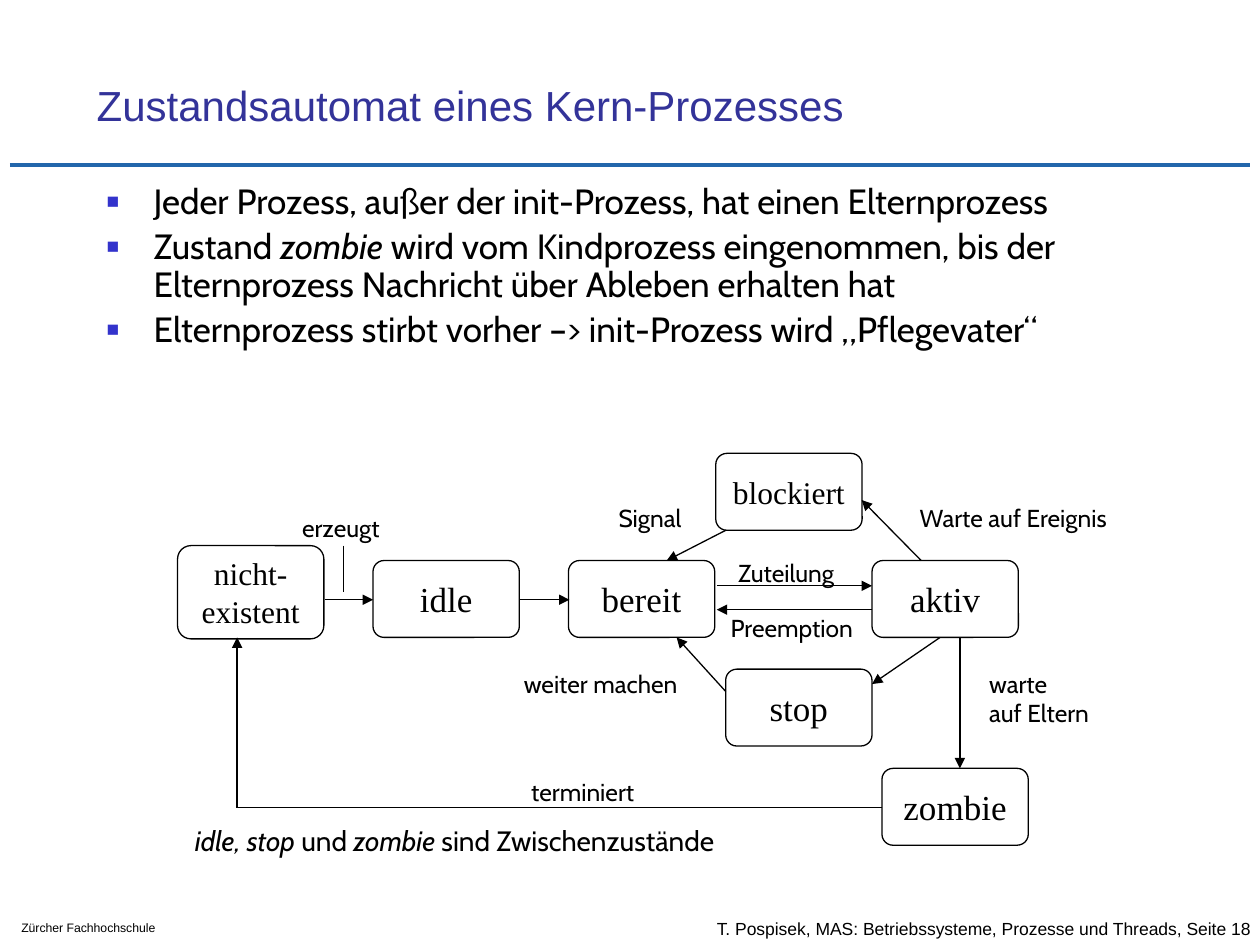
from lxml.etree import SubElement
from pptx import Presentation
from pptx.dml.color import RGBColor
from pptx.enum.shapes import MSO_CONNECTOR, MSO_SHAPE
from pptx.enum.text import MSO_ANCHOR, PP_ALIGN
from pptx.oxml.ns import qn
from pptx.util import Cm, Pt

COLORS = {"ink": "000000", "paper": "FFFFFF", "title": "333399",
          "bullet": "3333CC", "rule": "2266AB"}
BOX_W, BOX_H = 2.95, 1.55
ROW = 11.3            # top of the middle row of states
FLOOR = ROW + BOX_H   # bottom of the middle row
MID = 12.09           # height of the arrows in the middle row

# text, left, top, height, size
STATES = [
    (["nicht-", "existent"], 3.58, 11, 1.88, 18),
    (["idle"], 7.52, ROW, BOX_H, 20),
    (["bereit"], 11.46, ROW, BOX_H, 20),
    (["aktiv"], 17.58, ROW, BOX_H, 20),
    (["blockiert"], 14.43, 9.14, BOX_H, 18),
    (["stop"], 14.63, 13.49, BOX_H, 20),
    (["zombie"], 17.78, 15.49, BOX_H, 20),
]
ARROWS = [
    (6.55, MID, 7.52, MID),
    (10.49, MID, 11.48, MID),
    (4.78, 16.28, 4.78, FLOOR),
    (14.63, 13.94, 13.64, FLOOR),
    (18.95, FLOOR, 17.58, 13.79),
    (14.63, 10.69, 13.44, ROW),
    (18.57, ROW, 17.37, 10.08),
    (19.35, FLOOR, 19.35, 15.49),
    (17.58, 12.29, 14.45, 12.29),
    (14.45, 11.81, 17.58, 11.81),
]
LINES = [(17.78, 16.28, 4.78, 16.28), (6.93, 11, 6.93, 11.94)]
# text, left, top, width
LABELS = [
    (["Warte auf Ereignis"], 18.29, 10.01, 4.75),
    (["warte", "auf Eltern"], 19.69, 13.36, 2.77),
    (["Zuteilung"], 14.63, 11.13, 2.72),
    (["Signal"], 12.22, 10.01, 1.93),
    (["erzeugt"], 5.84, 10.21, 2.29),
    (["weiter machen"], 10.31, 13.36, 3.96),
    (["terminiert"], 10.46, 15.54, 2.84),
    (["Preemption"], 14.48, 12.24, 3.23),
]
# Each paragraph is a list of runs; every second run is italic.
POINTS = [
    ["Jeder Prozess, außer der init-Prozess, hat einen Elternprozess"],
    ["Zustand ", "zombie", " wird vom Kindprozess eingenommen, bis der "
     "Elternprozess Nachricht über Ableben erhalten hat"],
    ["Elternprozess stirbt vorher –> init-Prozess wird „Pflegevater“"],
]
NOTE = ["", "idle, stop", " und ", "zombie", " sind Zwischenzustände"]


def color(name):
    return RGBColor.from_string(COLORS[name])


def write(frame, paras, size, font, ink="ink"):
    """Fill a text frame; paras are lists of runs, every second one italic."""
    for i, runs in enumerate(paras):
        para = frame.add_paragraph() if i else frame.paragraphs[0]
        for j, text in enumerate(runs):
            if not text:
                continue
            run = para.add_run()
            run.text = text
            run.font.size = Pt(size)
            run.font.name = font
            run.font.color.rgb = color(ink)
            if j % 2:
                run.font.italic = True


def add_text(slide, paras, area, size, font, ink="ink", anchor=MSO_ANCHOR.TOP):
    frame = slide.shapes.add_textbox(*map(Cm, area)).text_frame
    frame.word_wrap = True
    frame.vertical_anchor = anchor
    write(frame, paras, size, font, ink)
    return frame


def add_points(slide):
    frame = add_text(slide, POINTS, (1.9, 3.6, 21.6, 2.97), 20, "Cabin")
    for para in frame.paragraphs:
        para.line_spacing = 0.9
        para.space_before = Pt(4)
        props = para._p.get_or_add_pPr()
        props.set("marL", str(Cm(0.95)))
        props.set("indent", str(-Cm(0.95)))
        tint = SubElement(props, qn("a:buClr"))
        SubElement(tint, qn("a:srgbClr"), val=COLORS["bullet"])
        SubElement(props, qn("a:buSzPct"), val="60000")
        SubElement(props, qn("a:buFont"), typeface="Arial")
        SubElement(props, qn("a:buChar"), char="■")


def add_state(slide, lines, left, top, height, size):
    box = slide.shapes.add_shape(MSO_SHAPE.ROUNDED_RECTANGLE,
                                 Cm(left), Cm(top), Cm(BOX_W), Cm(height))
    box.adjustments[0] = 0.144
    box.shadow.inherit = False
    box.fill.solid()
    box.fill.fore_color.rgb = color("paper")
    box.line.color.rgb = color("ink")
    box.line.width = Pt(0.75)
    frame = box.text_frame
    frame.word_wrap = False
    frame.vertical_anchor = MSO_ANCHOR.MIDDLE
    write(frame, [[line] for line in lines], size, "Times New Roman")
    for para in frame.paragraphs:
        para.alignment = PP_ALIGN.CENTER


def add_line(slide, ends, head=False, ink="ink", width=0.75):
    line = slide.shapes.add_connector(MSO_CONNECTOR.STRAIGHT, *map(Cm, ends))
    line.line.color.rgb = color(ink)
    line.line.width = Pt(width)
    if head:
        SubElement(line.line._get_or_add_ln(), qn("a:tailEnd"), type="triangle")
    SubElement(line._element.spPr, qn("a:effectLst"))


def main():
    deck = Presentation()
    deck.slide_width, deck.slide_height = Cm(25.4), Cm(19.05)
    slide = deck.slides.add_slide(deck.slide_layouts[6])

    add_line(slide, (0.2, 3.33, 25.2, 3.33), ink="rule", width=2.5)
    add_text(slide, [["T. Pospisek, MAS: Betriebssysteme, Prozesse und Threads, "
                      "Seite 18"]],
             (14.2, 18.29, 13.44, 0.84), 10, "Arial", anchor=MSO_ANCHOR.MIDDLE)
    add_text(slide, [["Zürcher Fachhochschule"]],
             (0.18, 18.42, 4.37, 0.56), 7, "Arial")
    add_text(slide, [["Zustandsautomat eines Kern-Prozesses"]],
             (1.7, 0.84, 21.64, 1.9), 24, "Arial", "title", MSO_ANCHOR.BOTTOM)
    add_points(slide)

    for state in STATES:
        add_state(slide, *state)
    for ends in ARROWS:
        add_line(slide, ends, head=True)
    for ends in LINES:
        add_line(slide, ends)
    for lines, left, top, width in LABELS:
        add_text(slide, [[line] for line in lines],
                 (left, top, width, 0.6 * len(lines) + 0.25), 14, "Cabin")
    note = add_text(slide, [NOTE], (3.68, 16.48, 12.19, 0.94), 16, "Cabin")
    note.paragraphs[0].space_before = Pt(3.2)

    deck.save("out.pptx")


if __name__ == "__main__":
    main()
